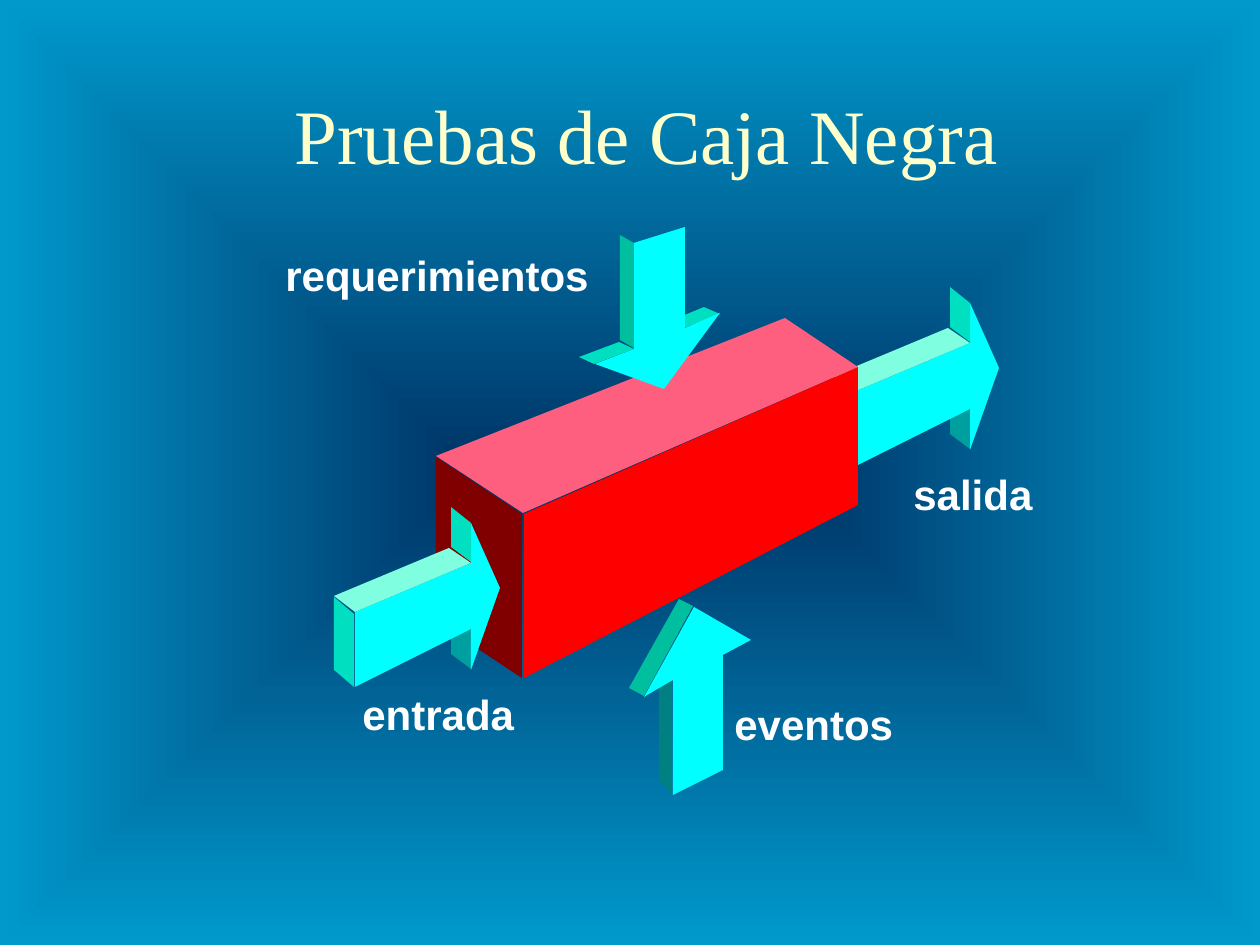
"""Build the slide "Pruebas de Caja Negra": a box with four labelled arrows."""
from dataclasses import dataclass

from lxml import etree
from pptx import Presentation
from pptx.dml.color import RGBColor
from pptx.enum.text import MSO_ANCHOR, MSO_AUTO_SIZE, PP_ALIGN
from pptx.oxml.ns import qn
from pptx.util import Pt

CENTER, LEFT = PP_ALIGN.CENTER, PP_ALIGN.LEFT
MIDDLE, TOP = MSO_ANCHOR.MIDDLE, MSO_ANCHOR.TOP
NO_FIT, GROW = MSO_AUTO_SIZE.NONE, MSO_AUTO_SIZE.SHAPE_TO_FIT_TEXT
PX = 914400 / 126


@dataclass(frozen=True)
class Theme:
    center: str = "003366"
    edge: str = "0099CC"
    title: str = "FFFFCC"
    label: str = "FFFFFF"
    cyan: str = "00FFFF"
    pale: str = "7FFFDF"
    mint: str = "00DFBF"
    green: str = "00BF9F"
    teal: str = "009F9F"
    deep_teal: str = "008080"
    red: str = "FF0000"
    pink: str = "FF5F7F"
    maroon: str = "800000"
    title_font: str = "Times New Roman"
    label_font: str = "Arial"
    title_size: int = 44
    label_size: int = 24


THEME = Theme()


def add_solid(slide, faces, dx=0, dy=0):
    """Draw the faces of one solid as a group, shifted by dx and dy."""
    solid = slide.shapes.add_group_shape()
    for color, corners in faces:
        points = [(x + dx, y + dy) for x, y in corners]
        outline = solid.shapes.build_freeform(*points[0], scale=PX)
        outline.add_line_segments(points[1:], close=True)
        face = outline.convert_to_shape()
        face.shadow.inherit = False
        face.fill.solid()
        face.fill.fore_color.rgb = RGBColor.from_string(color)
        face.line.fill.background()


def add_text(slide, text, box, font, size, color, bold=False, title=False):
    """Add one line of text in a box given in pixels."""
    frame = slide.shapes.add_textbox(*(round(v * PX) for v in box)).text_frame
    frame.word_wrap = title
    frame.auto_size = NO_FIT if title else GROW
    frame.vertical_anchor = MIDDLE if title else TOP
    frame.text = text
    paragraph = frame.paragraphs[0]
    paragraph.alignment = CENTER if title else LEFT
    style = paragraph.runs[0].font
    style.name, style.size, style.bold = font, Pt(size), bold
    style.color.rgb = RGBColor.from_string(color)


flow_arrow = [
    (THEME.teal, [(471, 669), (471, 630), (451, 614), (451, 654)]),
    (THEME.cyan, [(471, 563), (355, 612), (355, 687), (471, 629),
                  (471, 670), (500, 588), (471, 523)]),
    (THEME.mint, [(354, 614), (354, 687), (334, 670), (334, 597)]),
    (THEME.pale, [(334, 596), (355, 612), (471, 563), (449, 548)]),
    (THEME.mint, [(471, 523), (451, 507), (451, 547), (471, 562)]),
]
events_arrow = [
    (THEME.deep_teal, [(672, 795), (672, 680), (659, 673), (659, 779)]),
    (THEME.cyan, [(694, 607), (751, 640), (723, 655), (723, 770),
                  (673, 795), (673, 680), (644, 697)]),
    (THEME.green, [(644, 696), (629, 688), (679, 599), (693, 606)]),
]
black_box = [
    (THEME.maroon, [(436, 457), (522, 514), (522, 678), (436, 621)]),
    (THEME.pink, [(436, 456), (523, 513), (858, 367), (785, 318)]),
    (THEME.red, [(524, 514), (524, 678), (858, 505), (858, 367)]),
]
requirements_arrow = [
    (THEME.mint, [(684, 328), (720, 314), (704, 307), (670, 321)]),
    (THEME.cyan, [(634, 243), (685, 227), (685, 328), (720, 313),
                  (664, 389), (595, 364), (634, 349)]),
    (THEME.mint, [(594, 364), (579, 357), (619, 342), (634, 349)]),
    (THEME.green, [(620, 340), (634, 348), (634, 243), (620, 235)]),
]
labels = [
    ("requerimientos", (273, 243, 329, 63)),
    ("eventos", (722, 692, 185, 63)),
    ("entrada", (350, 682, 179, 63)),
    ("salida", (901, 462, 145, 63)),
]

deck = Presentation()
deck.slide_width, deck.slide_height = round(1260 * PX), round(945 * PX)
slide = deck.slides.add_slide(deck.slide_layouts[6])

backdrop = slide.background.fill
backdrop.gradient()
for stop, position, color in zip(backdrop.gradient_stops, (0, 1), (THEME.center, THEME.edge)):
    stop.position = position
    stop.color.rgb = RGBColor.from_string(color)
gradient = slide.element.find(".//" + qn("a:gradFill"))
gradient.remove(gradient.find(qn("a:lin")))
shading = etree.SubElement(gradient, qn("a:path"))
shading.set("path", "shape")
focus = etree.SubElement(shading, qn("a:fillToRect"))
for side in "ltrb":
    focus.set(side, "50000")

add_solid(slide, flow_arrow, dx=499, dy=-220)
add_text(slide, "Pruebas de Caja Negra", (203, 113, 887, 42),
         THEME.title_font, THEME.title_size, THEME.title, title=True)
for faces in (events_arrow, black_box, requirements_arrow, flow_arrow):
    add_solid(slide, faces)
for text, box in labels:
    add_text(slide, text, box, THEME.label_font, THEME.label_size, THEME.label, bold=True)

deck.save("out.pptx")
